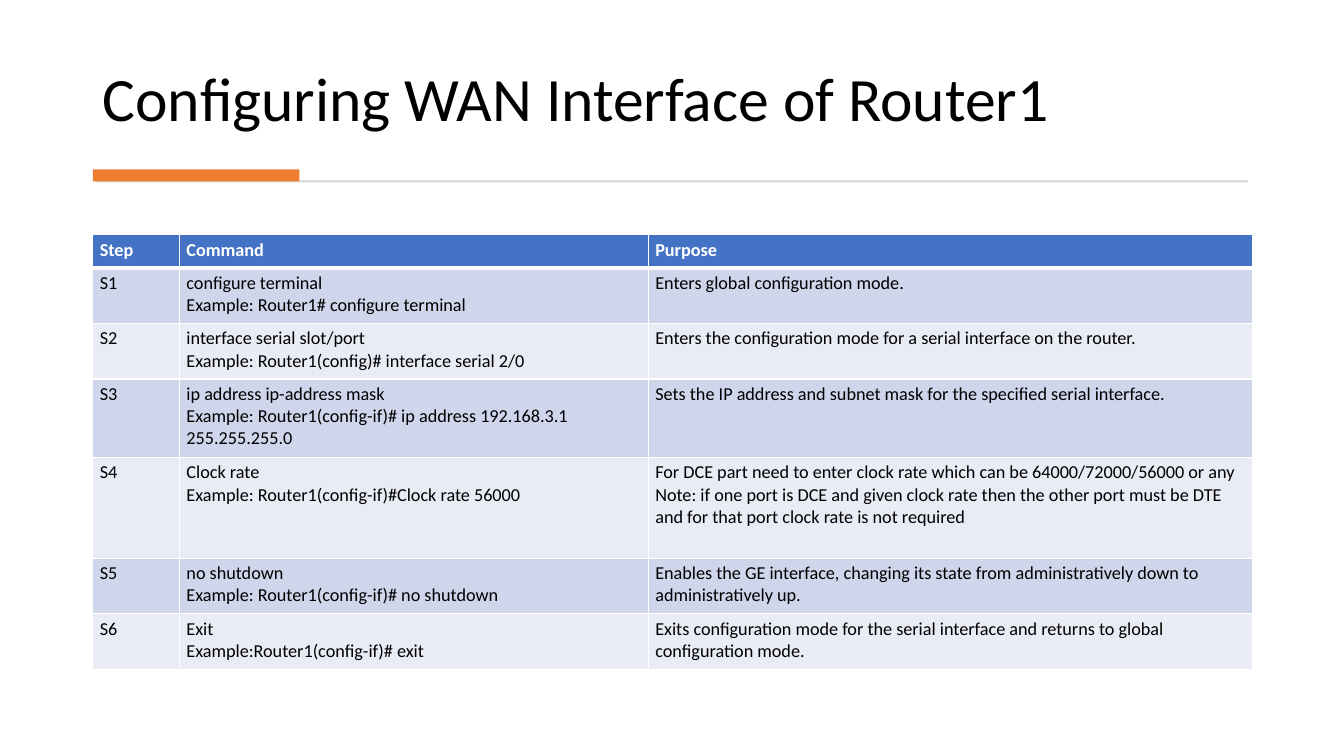
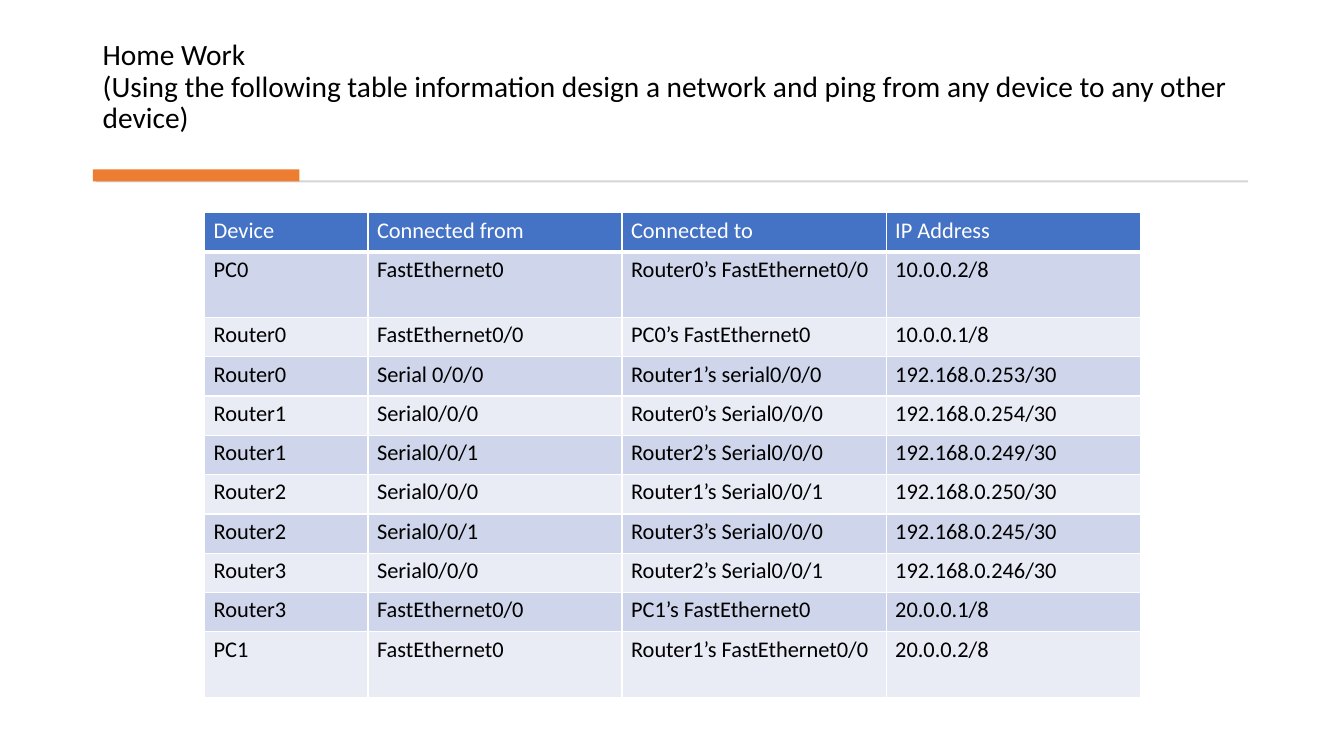
"""Build two router configuration slides, each with a title, a rule and a table."""
from dataclasses import dataclass

from lxml import etree
from pptx import Presentation
from pptx.dml.color import RGBColor
from pptx.enum import shapes, text
from pptx.oxml import ns
from pptx.util import Inches, Pt


@dataclass(frozen=True)
class Theme:
    """Colours, font and type sizes shared by the slides."""
    font: str = "Calibri"
    ink: str = "000000"
    white: str = "FFFFFF"
    accent: str = "ED7D31"
    rule: str = "D5D5D5"
    header: str = "4472C4"
    bands: tuple = ("CFD5EA", "E9EBF5")
    title_size: int = 44
    long_title_size: int = 21
    steps_size: int = 13
    devices_size: int = 16
    border: int = 1
    header_border: int = 3


THEME = Theme()

STEPS = [
    ("Step", "Command", "Purpose"),
    ("S1", "configure terminal\nExample: Router1# configure terminal",
     "Enters global configuration mode."),
    ("S2", "interface serial slot/port\nExample: Router1(config)# interface serial 2/0",
     "Enters the configuration mode for a serial interface on the router."),
    ("S3", "ip address ip-address mask\n"
     "Example: Router1(config-if)# ip address 192.168.3.1 255.255.255.0",
     "Sets the IP address and subnet mask for the specified serial interface."),
    ("S4", "Clock rate\nExample: Router1(config-if)#Clock rate 56000",
     "For DCE part need to enter clock rate which can be 64000/72000/56000 or any\n"
     "Note: if one port is DCE and given clock rate then the other port must be DTE "
     "and for that port clock rate is not required"),
    ("S5", "no shutdown\nExample: Router1(config-if)# no shutdown",
     "Enables the GE interface, changing its state from administratively down to "
     "administratively up."),
    ("S6", "Exit\nExample:Router1(config-if)# exit",
     "Exits configuration mode for the serial interface and returns to global "
     "configuration mode."),
]

DEVICES = [
    ("Device", "Connected from", "Connected to", "IP Address"),
    ("PC0", "FastEthernet0", "Router0’s FastEthernet0/0", "10.0.0.2/8"),
    ("Router0", "FastEthernet0/0", "PC0’s FastEthernet0", "10.0.0.1/8"),
    ("Router0", "Serial 0/0/0", "Router1’s serial0/0/0", "192.168.0.253/30"),
    ("Router1", "Serial0/0/0", "Router0’s Serial0/0/0", "192.168.0.254/30"),
    ("Router1", "Serial0/0/1", "Router2’s Serial0/0/0", "192.168.0.249/30"),
    ("Router2", "Serial0/0/0", "Router1’s Serial0/0/1", "192.168.0.250/30"),
    ("Router2", "Serial0/0/1", "Router3’s Serial0/0/0", "192.168.0.245/30"),
    ("Router3", "Serial0/0/0", "Router2’s Serial0/0/1", "192.168.0.246/30"),
    ("Router3", "FastEthernet0/0", "PC1’s FastEthernet0", "20.0.0.1/8"),
    ("PC1", "FastEthernet0", "Router1’s FastEthernet0/0", "20.0.0.2/8"),
]


def write_text(frame, content, *, size, color=THEME.ink, bold=False, spacing=None):
    """Write one paragraph per line of content; a vertical tab breaks a line."""
    for index, line in enumerate(content.split("\n")):
        paragraph = frame.add_paragraph() if index else frame.paragraphs[0]
        paragraph.text = line
        paragraph.line_spacing = spacing
        for run in paragraph.runs:
            run.font.name = THEME.font
            run.font.size = Pt(size)
            run.font.bold = bold
            run.font.color.rgb = RGBColor.from_string(color)


def add_title(slide, content, size):
    """Add the bottom-anchored slide title."""
    box = slide.shapes.add_textbox(Inches(0.92), Inches(0.28), Inches(11.49), Inches(1.11))
    frame = box.text_frame
    frame.word_wrap = True
    frame.vertical_anchor = text.MSO_ANCHOR.BOTTOM
    write_text(frame, content, size=size, spacing=0.9)


def add_bar(slide, left, top, width, height, color):
    """Add a plain filled rectangle."""
    bar = slide.shapes.add_shape(shapes.MSO_SHAPE.RECTANGLE, Inches(left), Inches(top),
                                 Inches(width), Inches(height))
    bar.shadow.inherit = False
    bar.fill.solid()
    bar.fill.fore_color.rgb = RGBColor.from_string(color)
    bar.line.fill.background()


def add_titled_slide(presentation, title, size):
    """Add a blank slide with a title above the accented rule."""
    slide = presentation.slides.add_slide(presentation.slide_layouts[6])
    add_title(slide, title, size)
    add_bar(slide, 0.95, 1.79, 11.43, 0.02, THEME.rule)
    add_bar(slide, 0.92, 1.68, 2.05, 0.12, THEME.accent)
    return slide


def set_borders(cell, **widths):
    """Draw white cell borders; widths in points are keyed by side L, R, T or B."""
    properties = cell._tc.get_or_add_tcPr()
    for side in "LRTB":
        width = Pt(widths.get(side, THEME.border))
        line = etree.SubElement(properties, ns.qn(f"a:ln{side}"), w=str(width))
        fill = etree.SubElement(line, ns.qn("a:solidFill"))
        etree.SubElement(fill, ns.qn("a:srgbClr"), val=THEME.white)


def format_cell(cell, row, content, *, size, inset, bold_header):
    """Fill, border and write one cell according to its row."""
    is_header = row == 0
    heavy_side = {0: "B", 1: "T"}.get(row)
    set_borders(cell, **({heavy_side: THEME.header_border} if heavy_side else {}))
    cell.fill.solid()
    color = THEME.header if is_header else THEME.bands[(row - 1) % 2]
    cell.fill.fore_color.rgb = RGBColor.from_string(color)
    cell.margin_left = cell.margin_right = Inches(inset)
    cell.margin_top = cell.margin_bottom = Inches(0.04)
    write_text(cell.text_frame, content, size=size, bold=is_header and bold_header,
               color=THEME.white if is_header else THEME.ink)


def add_banded_table(slide, rows, left, top, widths, heights, **cell_format):
    """Add a table with a header row and alternating row colours."""
    table = slide.shapes.add_table(len(rows), len(widths), Inches(left), Inches(top),
                                   Inches(sum(widths)), Inches(sum(heights))).table
    for column, width in zip(table.columns, widths):
        column.width = Inches(width)
    for row, height in zip(table.rows, heights):
        row.height = Inches(height)
    for row, values in enumerate(rows):
        for column, content in enumerate(values):
            format_cell(table.cell(row, column), row, content, **cell_format)


def main():
    """Build and save the presentation."""
    presentation = Presentation()
    presentation.slide_width = Inches(13.33)
    presentation.slide_height = Inches(7.5)

    slide = add_titled_slide(presentation, "Configuring WAN Interface of Router1",
                             THEME.title_size)
    add_banded_table(slide, STEPS, 0.92, 2.33, [0.86, 4.65, 5.99],
                     [0.33, 0.55, 0.55, 0.78, 1, 0.55, 0.55],
                     size=THEME.steps_size, inset=0.07, bold_header=True)

    slide = add_titled_slide(
        presentation,
        "Home Work\v(Using the following table information design a network and ping "
        "from any device to any other device)", THEME.long_title_size)
    add_banded_table(slide, DEVICES, 2.03, 2.11, [1.62, 2.52, 2.62, 2.52],
                     [0.39, 0.65] + [0.39] * 8 + [0.65],
                     size=THEME.devices_size, inset=0.09, bold_header=False)

    presentation.save("out.pptx")


main()
